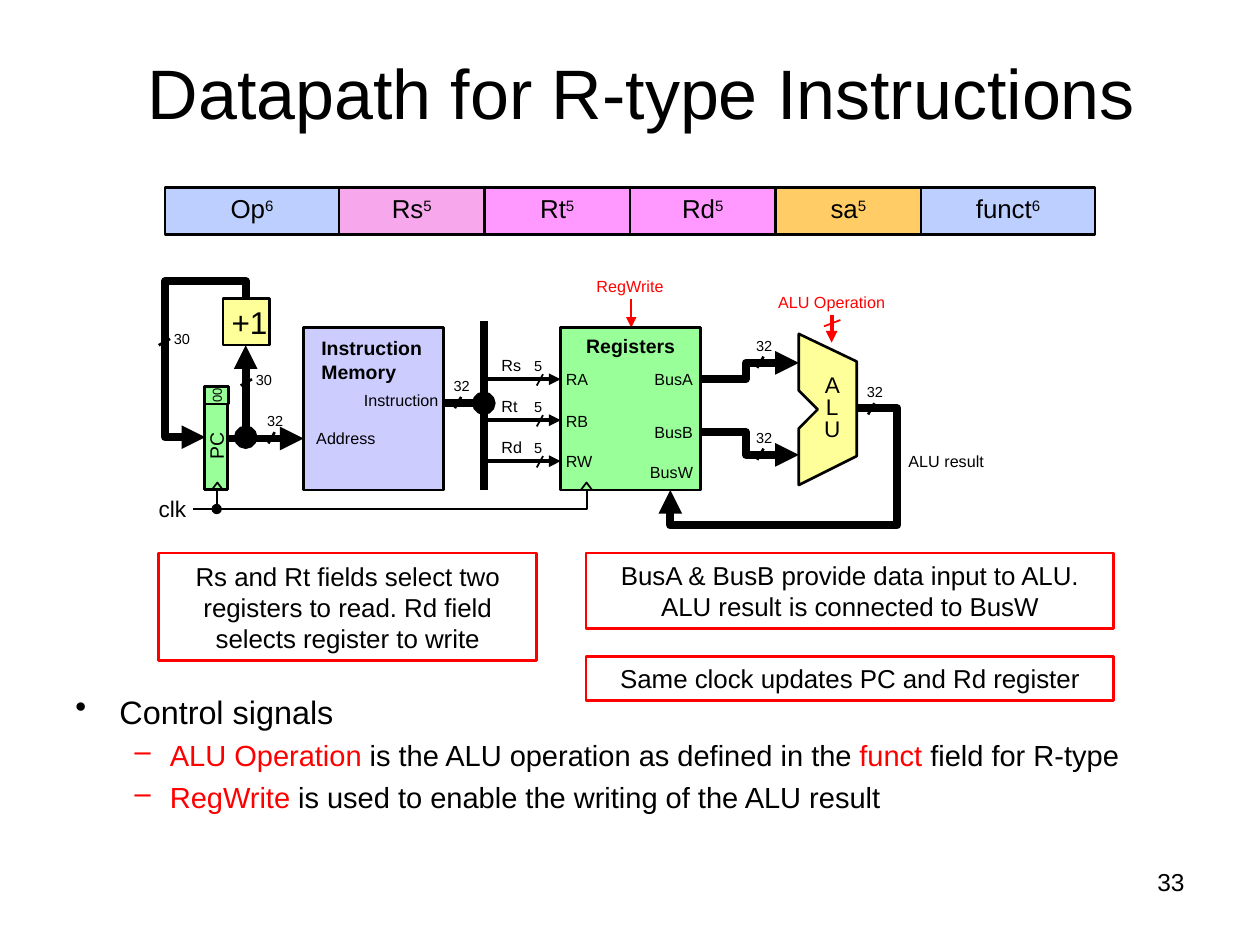
from pptx import Presentation
from pptx.dml.color import RGBColor
from pptx.enum.shapes import MSO_CONNECTOR, MSO_SHAPE
from pptx.enum.text import MSO_ANCHOR, PP_ALIGN
from pptx.oxml.ns import qn
from pptx.util import Inches, Pt
from lxml import etree

BLACK = RGBColor(0x00, 0x00, 0x00)
RED = RGBColor(0xFF, 0x00, 0x00)
BLUE = RGBColor(0xBC, 0xCF, 0xFE)
PINK = RGBColor(0xF7, 0xA7, 0xEC)
MAGENTA = RGBColor(0xFF, 0x99, 0xFF)
ORANGE = RGBColor(0xFF, 0xCC, 0x66)
YELLOW = RGBColor(0xFF, 0xFF, 0x99)
GREEN = RGBColor(0x99, 0xFF, 0x99)
LAVENDER = RGBColor(0xCC, 0xCC, 0xFF)

LEFT, CENTER, RIGHT = PP_ALIGN.LEFT, PP_ALIGN.CENTER, PP_ALIGN.RIGHT
TOP, MIDDLE = MSO_ANCHOR.TOP, MSO_ANCHOR.MIDDLE
RECTANGLE, TRIANGLE = MSO_SHAPE.RECTANGLE, MSO_SHAPE.ISOSCELES_TRIANGLE
STRAIGHT = MSO_CONNECTOR.STRAIGHT

BUS = 4.5
NO_INSET = (0, 0, 0, 0)
BOX_INSET = (0.1, 0.05, 0.1, 0.05)


def add_run(paragraph, text, size, color=BLACK, bold=False, superscript=False):
    run = paragraph.add_run()
    run.text = text
    run.font.name = "Arial"
    run.font.size = Pt(size)
    run.font.bold = bold
    run.font.color.rgb = color
    if superscript:
        run._r.get_or_add_rPr().set("baseline", "30000")


def set_frame(shape, anchor, inset):
    frame = shape.text_frame
    frame.word_wrap = True
    frame.vertical_anchor = anchor
    (frame.margin_left, frame.margin_top,
     frame.margin_right, frame.margin_bottom) = map(Inches, inset)
    return frame


def write(shape, lines, size, color=BLACK, align=LEFT, anchor=MIDDLE,
          inset=NO_INSET, bold=False, spacing=None):
    """Fill a shape with one paragraph for each line."""
    frame = set_frame(shape, anchor, inset)
    for index, line in enumerate(lines):
        paragraph = frame.add_paragraph() if index else frame.paragraphs[0]
        paragraph.alignment = align
        paragraph.line_spacing = spacing
        add_run(paragraph, line, size, color, bold)


def add_label(slide, box, *lines, size=9.2, **style):
    label = slide.shapes.add_textbox(*map(Inches, box))
    write(label, lines, size, **style)


def paint(shape, fill, line, width):
    shape.shadow.inherit = False
    if fill is None:
        shape.fill.background()
    else:
        shape.fill.solid()
        shape.fill.fore_color.rgb = fill
    shape.line.color.rgb = line
    shape.line.width = Pt(width)


def add_block(slide, box, fill=None, line=BLACK, width=1.5, kind=RECTANGLE):
    block = slide.shapes.add_shape(kind, *map(Inches, box))
    paint(block, fill, line, width)
    return block


def set_ends(shape, head, tail):
    outline = shape._element.spPr.get_or_add_ln()
    for tag, end in (("a:headEnd", head), ("a:tailEnd", tail)):
        if end:
            etree.SubElement(outline, qn(tag), type=end)


def add_wire(slide, start, end, width=BUS, color=BLACK, head=None, tail=None):
    wire = slide.shapes.add_connector(STRAIGHT, *map(Inches, (*start, *end)))
    wire.line.color.rgb = color
    wire.line.width = Pt(width)
    set_ends(wire, head, tail)
    etree.SubElement(wire._element.spPr, qn("a:effectLst"))


def add_path(slide, points, width=BUS, fill=None, close=False, tail=None):
    corners = [(Inches(x), Inches(y)) for x, y in points]
    builder = slide.shapes.build_freeform(*corners[0])
    builder.add_line_segments(corners[1:], close=close)
    path = builder.convert_to_shape()
    paint(path, fill, BLACK, width)
    set_ends(path, None, tail)


def add_bus_width(slide, left, top, bits):
    """Number of bits with the slash that crosses the bus below it."""
    add_label(slide, (left + 0.03, top, 0.18, 0.18), bits, size=8.3)
    add_wire(slide, (left + 0.09, top + 0.18), (left + 0.04, top + 0.27), 1.5)


def add_side_bus_width(slide, left, top, bits):
    """Number of bits with the slash that crosses the bus on its left."""
    add_label(slide, (left + 0.03, top, 0.18, 0.18), bits, size=8.3)
    add_wire(slide, (left, top + 0.09), (left - 0.09, top + 0.14), 1.5)


def add_instruction_format(slide):
    outer = 1.38
    inner = (7.38 - 2 * outer) / 4
    left = 1.31
    for name, bits, fill, width in (
            ("Op", "6", BLUE, outer), ("Rs", "5", PINK, inner),
            ("Rt", "5", MAGENTA, inner), ("Rd", "5", MAGENTA, inner),
            ("sa", "5", ORANGE, inner), ("funct", "6", BLUE, outer)):
        field = add_block(slide, (left, 1.49, width, 0.37), fill)
        write(field, [name], 14.8, align=CENTER, inset=(0, 0.09, 0, 0.09),
              spacing=0.85)
        add_run(field.text_frame.paragraphs[0], bits, 14.8, superscript=True)
        left += width


def add_control_signals(slide):
    add_wire(slide, (6.6, 2.5), (6.6, 2.72), 2.25, RED, tail="triangle")
    add_wire(slide, (6.67, 2.54), (6.54, 2.59), 1, RED)
    add_wire(slide, (5.01, 2.37), (5.01, 2.6), 1, RED, tail="triangle")
    for text, box in (("ALU Operation", (6.07, 2.31, 1.06, 0.18)),
                      ("RegWrite", (4.68, 2.18, 0.64, 0.18))):
        add_label(slide, box, text, color=RED, align=CENTER)


def add_alu(slide):
    add_path(slide, [(6.34, 3.85), (6.8, 3.62), (6.8, 2.87), (6.34, 2.65),
                     (6.34, 3.1), (6.49, 3.25), (6.34, 3.4)],
             1.5, YELLOW, close=True)
    add_label(slide, (6.41, 2.87, 0.39, 0.75), "A", "L", "U", size=12.9,
              align=CENTER, spacing=0.8)
    for start, end in ((3.43, 3.61), (3.01, 2.88)):
        add_path(slide, [(5.55, start), (5.92, start), (5.92, end), (6.34, end)],
                 tail="triangle")
    for left, top in ((5.97, 3.38), (5.97, 2.65), (6.85, 3.02)):
        add_bus_width(slide, left, top, "32")
    add_label(slide, (7.21, 3.52, 0.69, 0.28), "ALU result")
    add_path(slide, [(6.8, 3.24), (7.12, 3.24), (7.12, 4.17), (5.32, 4.17),
                     (5.32, 3.89)], tail="triangle")


def add_instruction_fetch(slide):
    add_block(slide, (2.41, 2.6, 1.11, 1.29), LAVENDER)
    add_label(slide, (2.51, 3.34, 0.69, 0.28), "Address")
    add_label(slide, (2.6, 3.06, 0.88, 0.23), "Instruction", align=RIGHT)
    add_label(slide, (2.55, 2.6, 0.88, 0.51), "Instruction", "Memory",
              size=11.1, bold=True)
    add_wire(slide, (1.81, 3.48), (2.41, 3.48), tail="triangle")
    add_wire(slide, (3.52, 3.2), (3.84, 3.2), tail="oval")
    add_bus_width(slide, 3.57, 2.97, "32")
    add_bus_width(slide, 2.09, 3.25, "32")

    for text, box, size in (("PC", (1.37, 3.45, 0.69, 0.18), 11.1),
                            ("00", (1.65, 3.04, 0.14, 0.19), 7.4)):
        register = add_block(slide, box, GREEN)
        register.rotation = 270
        write(register, [text], size, align=CENTER)
    add_wire(slide, (1.95, 3.47), (1.95, 2.74), head="oval", tail="triangle")
    increment = add_block(slide, (1.77, 2.37, 0.37, 0.37), YELLOW)
    write(increment, ["+1"], 18, align=CENTER, inset=(0.05, 0, 0, 0))
    add_path(slide, [(1.95, 2.37), (1.95, 2.23), (1.31, 2.23), (1.31, 3.47),
                     (1.63, 3.47)], tail="triangle")
    add_side_bus_width(slide, 1.35, 2.6, "30")
    add_side_bus_width(slide, 2, 2.92, "30")
    add_wire(slide, (3.84, 2.55), (3.84, 3.89))


def add_registers(slide):
    registers = add_block(slide, (4.45, 2.6, 1.11, 1.29), GREEN)
    write(registers, ["Registers"], 11.1, align=CENTER, anchor=TOP, bold=True,
          inset=(0.01, 0.05, 0.01, 0.05))
    for port, top in (("RA", 2.92), ("RB", 3.25), ("RW", 3.57)):
        add_label(slide, (4.49, top, 0.41, 0.18), port)
    for bus, top in (("BusA", 2.92), ("BusB", 3.34), ("BusW", 3.66)):
        add_label(slide, (5.09, top, 0.41, 0.18), bus, align=RIGHT)
    for index, field in enumerate(("Rs", "Rt", "Rd")):
        y = 3.01 + 0.325 * index
        add_wire(slide, (3.84, y), (4.45, y), 2.25, tail="triangle")
        add_wire(slide, (4.31, y - 0.04), (4.26, y + 0.05), 1)
        add_label(slide, (4.24, y - 0.18, 0.14, 0.14), "5", size=8.3)
        add_label(slide, (3.98, y - 0.18, 0.18, 0.14), field)


def add_clock(slide):
    for left in (1.68, 4.61):
        add_block(slide, (left, 3.83, 0.09, 0.06), width=1, kind=TRIANGLE)
    add_path(slide, [(4.66, 3.89), (4.66, 4.04), (1.53, 4.04)], 1)
    add_wire(slide, (1.72, 3.89), (1.72, 4.04), 1, tail="oval")
    add_label(slide, (1.26, 3.94, 0.28, 0.19), "clk", size=12.9)


def add_notes_on_datapath(slide):
    for box, text in (
            ((1.26, 4.39, 3, 0.85), "Rs and Rt fields select two registers to "
             "read. Rd field selects register to write"),
            ((4.65, 4.39, 4.19, 0.6), "BusA & BusB provide data input to ALU. "
             "ALU result is connected to BusW"),
            ((4.65, 5.21, 4.19, 0.35), "Same clock updates PC and Rd register")):
        write(add_block(slide, box, line=RED), [text], 14.8, align=CENTER,
              inset=BOX_INSET)


def add_bullet(paragraph, mark, color, margin, indent):
    properties = paragraph._p.get_or_add_pPr()
    properties.set("marL", str(Inches(margin)))
    properties.set("indent", str(Inches(indent)))
    bullet_color = etree.SubElement(properties, qn("a:buClr"))
    etree.SubElement(bullet_color, qn("a:srgbClr"), val=str(color))
    etree.SubElement(properties, qn("a:buChar"), char=mark)


def add_explanation(slide):
    body = slide.shapes.add_textbox(*map(Inches, (0.5, 5.44, 9, 1.2)))
    frame = set_frame(body, TOP, BOX_INSET)
    heading = frame.paragraphs[0]
    add_bullet(heading, "•", BLACK, 0.35, -0.35)
    add_run(heading, "Control signals", 18.5)
    for parts in (
            (("ALU Operation ", RED),
             ("is the ALU operation as defined in the ", BLACK),
             ("funct", RED), (" field for R-type", BLACK)),
            (("RegWrite ", RED),
             ("is used to enable the writing of the ALU result", BLACK))):
        item = frame.add_paragraph()
        item.level = 1
        add_bullet(item, "–", RED, 0.75, -0.28)
        item.space_before = Pt(4)
        for text, color in parts:
            add_run(item, text, 16.6, color)


def main():
    deck = Presentation()
    deck.slide_width, deck.slide_height = Inches(10), Inches(7.5)
    slide = deck.slides.add_slide(deck.slide_layouts[6])
    add_label(slide, (0.59, 0.1, 9, 1.25), "Datapath for R-type Instructions",
              size=40, align=CENTER, inset=BOX_INSET)
    add_explanation(slide)
    add_instruction_format(slide)
    add_control_signals(slide)
    add_alu(slide)
    add_instruction_fetch(slide)
    add_registers(slide)
    add_clock(slide)
    add_notes_on_datapath(slide)
    add_label(slide, (7.17, 6.83, 2.33, 0.52), "33", size=14, align=RIGHT,
              anchor=TOP, inset=BOX_INSET)
    deck.save("out.pptx")


if __name__ == "__main__":
    main()
